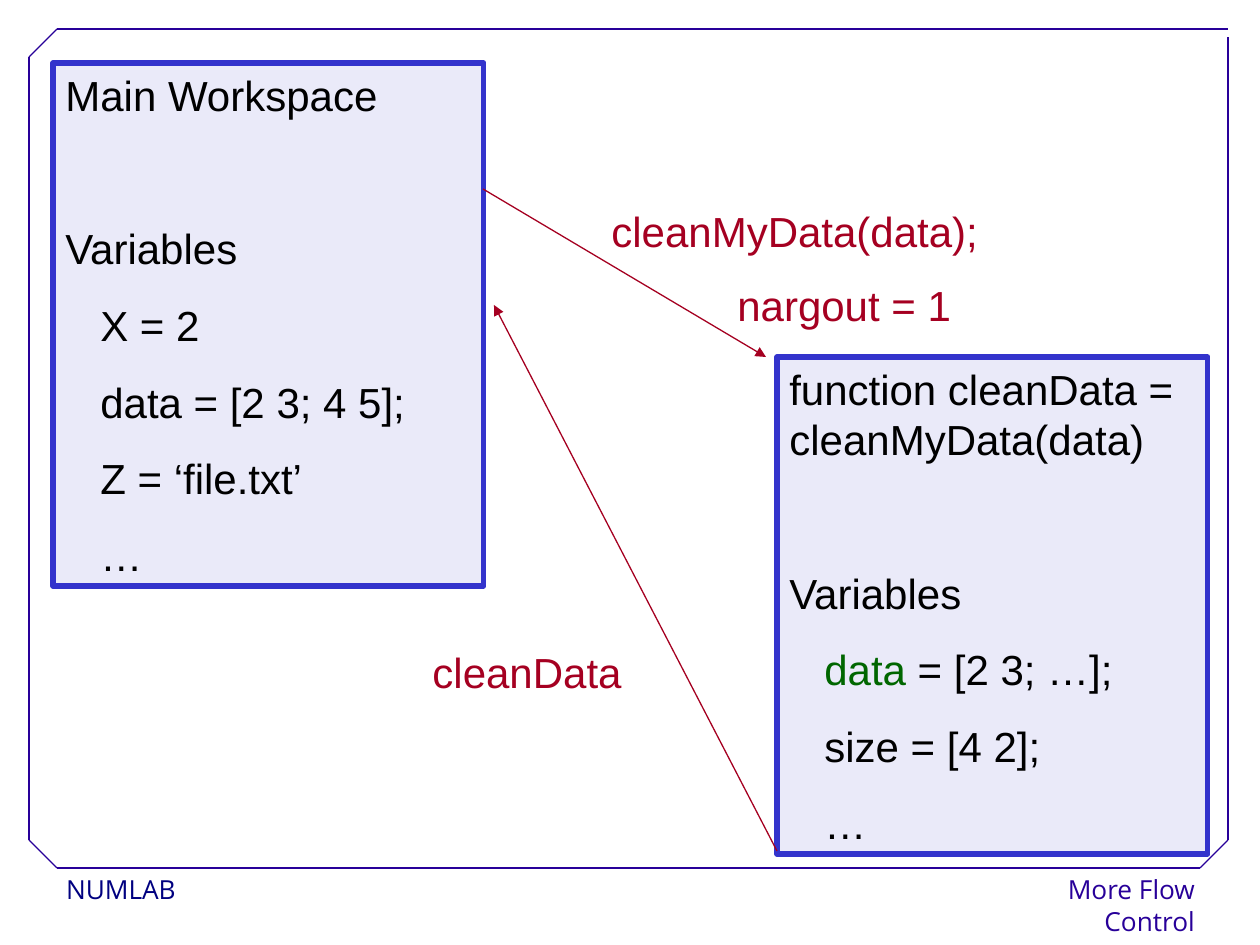
from pptx import Presentation
from pptx.dml.color import RGBColor
from pptx.enum.shapes import MSO_CONNECTOR, MSO_SHAPE
from pptx.enum.text import MSO_ANCHOR, PP_ALIGN
from pptx.oxml.ns import qn
from pptx.util import Pt
from lxml.etree import SubElement

PX = 914400 // 126
WHITE = RGBColor(0xFF, 0xFF, 0xFF)
BLACK = RGBColor(0, 0, 0)
NAVY = RGBColor(0, 0, 0x80)
VIOLET = RGBColor(0x28, 0, 0x99)
BLUE = RGBColor(0x33, 0x33, 0xCC)
RED = RGBColor(0xA5, 0, 0x21)
GREEN = RGBColor(0, 0x66, 0)

deck = Presentation()
deck.slide_width, deck.slide_height = 1260 * PX, 945 * PX
slide = deck.slides.add_slide(deck.slide_layouts[6])
shapes = slide.shapes


def add_line(ends, color, arrow=False):
    line = shapes.add_connector(MSO_CONNECTOR.STRAIGHT, *[n * PX for n in ends])
    line.line.color.rgb = color
    line.line.width = Pt(0.75)
    props = line._element.spPr
    if arrow:
        SubElement(props.find(qn("a:ln")), qn("a:tailEnd"), type="triangle")
    SubElement(props, qn("a:effectLst"))


def add_text(shape, rows, color, size=24, font="Arial"):
    frame = shape.text_frame
    frame.word_wrap = True
    frame.vertical_anchor = MSO_ANCHOR.TOP
    for i, row in enumerate(rows):
        para = frame.paragraphs[0] if i == 0 else frame.add_paragraph()
        para.text = row
        para.alignment = PP_ALIGN.LEFT
        for run in para.runs:
            run.font.name = font
            run.font.size = Pt(size)
            run.font.color.rgb = color
    return frame


feet = [
    (55, 246, "NUMLAB", NAVY, PP_ALIGN.LEFT),
    (1046, 160, "More Flow Control", VIOLET, PP_ALIGN.RIGHT),
]
for x, w, text, color, align in feet:
    foot = shapes.add_textbox(x * PX, 868 * PX, w * PX, 47 * PX)
    foot.fill.solid()
    foot.fill.fore_color.rgb = WHITE
    frame = add_text(foot, [text], color, 15, "Open Sans")
    frame.word_wrap = False
    frame.margin_left = frame.margin_right = 11 * PX
    frame.margin_top = frame.margin_bottom = 5 * PX
    frame.paragraphs[0].alignment = align
    frame.paragraphs[0].line_spacing = 1.02

border = [
    (57, 868, 1200, 868),
    (29, 840, 29, 57),
    (57, 29, 1228, 29),
    (1228, 840, 1228, 37),
    (29, 57, 57, 29),
    (1200, 868, 1228, 840),
    (29, 840, 57, 868),
]
for ends in border:
    add_line(ends, VIOLET)

boxes = [
    (53, 63, 523, ["Main Workspace", "Variables", "X = 2",
                   "data = [2 3; 4 5];", "Z = ‘file.txt’", "…"]),
    (777, 357, 497, ["function cleanData = cleanMyData(data)", "Variables",
                     "data = [2 3; …];", "size = [4 2];", "…"]),
]
for x, y, h, rows in boxes:
    box = shapes.add_shape(MSO_SHAPE.RECTANGLE, x * PX, y * PX, 431 * PX, h * PX)
    box.shadow.inherit = False
    box.fill.solid()
    box.fill.fore_color.rgb = BLUE
    tint = box._element.spPr.find(qn("a:solidFill"))[0]
    SubElement(tint, qn("a:alpha"), val="10000")
    box.line.color.rgb = BLUE
    box.line.width = Pt(3)
    paras = add_text(box, rows, BLACK).paragraphs
    paras[1].space_before = Pt(59)
    for para in paras[2:]:
        para.space_before = Pt(15)
        para._p.get_or_add_pPr().set("marL", str(35 * PX))

para = paras[2]
head = para.runs[0]
head.text = "data"
head.font.color.rgb = GREEN
rest = para.add_run()
rest.text = " = [2 3; …];"
rest.font.name = "Arial"
rest.font.size = Pt(24)
rest.font.color.rgb = BLACK

add_line((483, 189, 766, 357), RED, True)
add_line((777, 851, 494, 305), RED, True)

labels = [
    (599, 199, 441, "cleanMyData(data);"),
    (420, 640, 231, "cleanData"),
    (725, 273, 441, "nargout = 1"),
]
for x, y, w, text in labels:
    label = shapes.add_textbox(x * PX, y * PX, w * PX, 63 * PX)
    add_text(label, [text], RED)

deck.save("out.pptx")
